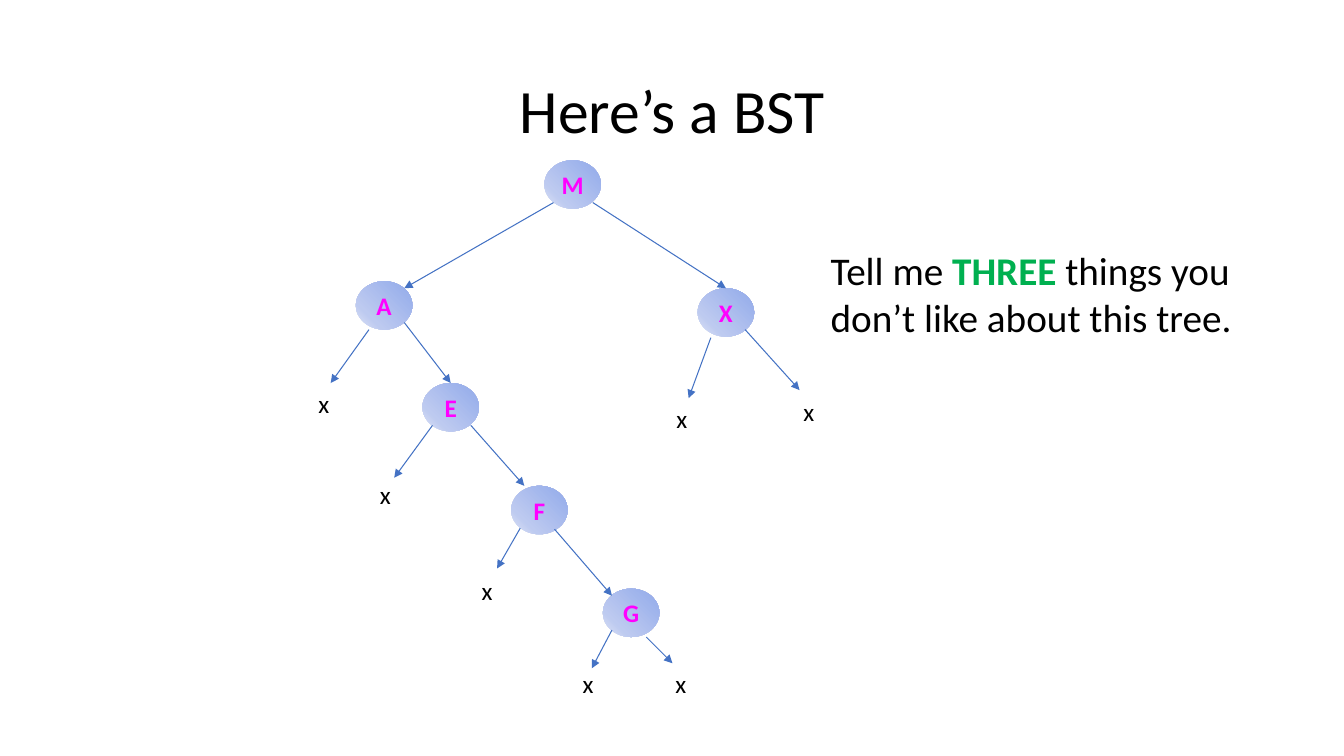
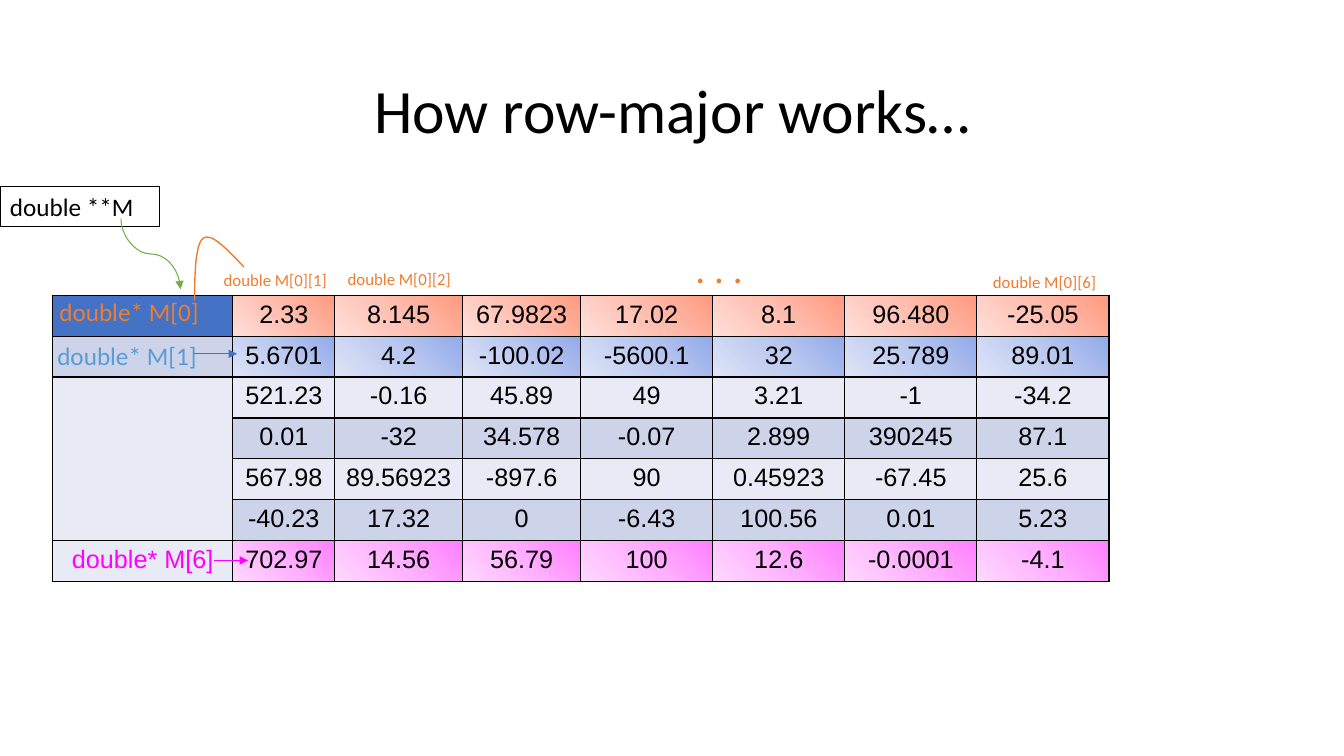
import itertools
from dataclasses import dataclass

import lxml.etree
import pptx
import pptx.dml.color
import pptx.enum.shapes
import pptx.enum.text
import pptx.oxml.ns
import pptx.util
from pptx.util import Inches

COLORS = {
    "black": "000000",
    "blue": "4472C4",
    "light_blue": "5B9BD5",
    "green": "70AD47",
    "bright_green": "00B050",
    "orange": "ED7D31",
    "magenta": "FF00FF",
    "band_dark": "CDD4EA",
    "band_light": "E8EBF5",
}
BLUE_TINTS = ("92AAEA", "BDCAF0", "DEE4F7")
RED_TINTS = ("FF997E", "FFBFB1", "FFDFD9")
MAGENTA_TINTS = ("FF7EFF", "FFB1FF", "FFD9FF")
CENTER = pptx.enum.text.PP_ALIGN.CENTER
MIDDLE = pptx.enum.text.MSO_ANCHOR.MIDDLE
qn = pptx.oxml.ns.qn


@dataclass(frozen=True)
class Span:
    text: str
    color: str = "black"
    bold: bool = False
    size: int = 18
    font: str = "Calibri"


@dataclass(frozen=True)
class Node:
    label: str
    left: float
    top: float


@dataclass(frozen=True)
class Arrow:
    x1: float
    y1: float
    x2: float
    y2: float
    color: str = "blue"


@dataclass(frozen=True)
class Gradient:
    tints: tuple[str, ...]
    middle: int = 50
    circular: bool = False


@dataclass(frozen=True)
class Label:
    span: Span
    left: float
    top: float
    width: float
    height: float


NODE_FILL = Gradient(BLUE_TINTS, 74, True)
NODES = [
    Node("M", 5.4, 1.59), Node("A", 3.53, 2.79), Node("X", 6.92, 2.86),
    Node("E", 4.19, 3.8), Node("F", 5.07, 4.82), Node("G", 5.98, 5.84),
]
BRANCHES = [
    Arrow(5.49, 2.01, 4.01, 2.86), Arrow(5.88, 2.01, 7.2, 2.86),
    Arrow(7.05, 3.35, 6.83, 3.95), Arrow(7.39, 3.27, 7.93, 3.87),
    Arrow(3.66, 3.27, 3.28, 3.8), Arrow(4.01, 3.2, 4.47, 3.8),
    Arrow(4.29, 4.22, 3.91, 4.74), Arrow(4.67, 4.22, 5.2, 4.82),
    Arrow(5.16, 5.24, 4.93, 5.64), Arrow(5.5, 5.25, 6.07, 5.91),
    Arrow(6.07, 6.25, 5.87, 6.63), Arrow(6.41, 6.32, 6.67, 6.58),
]
EMPTY_CHILDREN = [
    (6.61, 3.95), (7.87, 3.88), (3.06, 3.8), (3.67, 4.71),
    (4.68, 5.66), (5.68, 6.58), (6.6, 6.58),
]

COLUMN_WIDTHS = [1.79, 1.01, 1.27, 1.17] + [1.31] * 4
MATRIX = [
    ["2.33", "8.145", "67.9823", "17.02", "8.1", "96.480", "-25.05"],
    ["5.6701", "4.2", "-100.02", "-5600.1", "32", "25.789", "89.01"],
    ["521.23", "-0.16", "45.89", "49", "3.21", "-1", "-34.2"],
    ["0.01", "-32", "34.578", "-0.07", "2.899", "390245", "87.1"],
    ["567.98", "89.56923", "-897.6", "90", "0.45923", "-67.45", "25.6"],
    ["-40.23", "17.32", "0", "-6.43", "100.56", "0.01", "5.23"],
    ["702.97", "14.56", "56.79", "100", "12.6", "-0.0001", "-4.1"],
]
ROW_GRADIENTS = {
    0: Gradient(RED_TINTS, circular=True),
    1: Gradient(BLUE_TINTS),
    6: Gradient(MAGENTA_TINTS),
}
POINTER_FILLS = {0: "blue", 1: "band_dark"}
MATRIX_LABELS = [
    Label(Span("double* M[0]", "orange"), 0.49, 2.89, 1.74, 0.4),
    Label(Span("double* M[1]", "light_blue"), 0.47, 3.33, 1.74, 0.4),
    Label(Span("double M[0][1]", "orange", size=12), 2.12, 2.63, 1.24, 0.3),
    Label(Span("double M[0][2]", "orange", size=12), 3.35, 2.62, 1.24, 0.3),
    Label(Span("double M[0][6]", "orange", size=12), 9.75, 2.65, 1.24, 0.3),
    Label(Span(". . .", "orange", size=28), 6.8, 2.37, 0.73, 0.57),
]
ROW_POINTERS = [
    Arrow(1.92, 3.51, 2.35, 3.51), Arrow(2.12, 5.56, 2.46, 5.56, "magenta"),
]
LOOP_POINTS = [
    (1.93, 2.98), (1.93, 2.7), (1.94, 2.41), (2.02, 2.36),
    (2.1, 2.31), (2.26, 2.48), (2.42, 2.65),
]


def rgb(name: str) -> pptx.dml.color.RGBColor:
    return pptx.dml.color.RGBColor.from_string(COLORS[name])


def write(frame, spans: list[Span], **paragraph_format) -> None:
    """Put the spans in the first paragraph of a text frame."""
    para = frame.paragraphs[0]
    for name, value in paragraph_format.items():
        setattr(para, name, value)
    for span in spans:
        run = para.add_run()
        run.text = span.text
        font_format = {"name": span.font, "size": pptx.util.Pt(span.size), "bold": span.bold}
        for name, value in font_format.items():
            setattr(run.font, name, value)
        run.font.color.rgb = rgb(span.color)


def add_text(page, spans: list[Span], left: float, top: float, width: float,
             height: float, anchor=None, **paragraph_format) -> None:
    box = page.shapes.add_textbox(*map(Inches, (left, top, width, height)))
    box.text_frame.word_wrap = True
    box.text_frame.vertical_anchor = anchor
    write(box.text_frame, spans, **paragraph_format)


def add_title(page, text: str) -> None:
    add_text(page, [Span(text, size=44)], 0.92, 0.4, 11.5, 1.45, MIDDLE,
             alignment=CENTER, line_spacing=0.9)


def fill_gradient(fill, properties, gradient: Gradient) -> None:
    """Shade from the top right corner; properties is the XML parent of the fill."""
    fill.gradient()
    element = properties.find(qn("a:gradFill"))
    element.clear()
    element.set("rotWithShape", "1")
    stops = lxml.etree.SubElement(element, qn("a:gsLst"))
    for position, tint in zip((0, gradient.middle, 100), gradient.tints):
        stop = lxml.etree.SubElement(stops, qn("a:gs"), pos=str(position * 1000))
        lxml.etree.SubElement(stop, qn("a:srgbClr"), val=tint)
    if gradient.circular:
        circle = lxml.etree.SubElement(element, qn("a:path"), path="circle")
        lxml.etree.SubElement(circle, qn("a:fillToRect"), l="100000", b="100000")
    else:
        lxml.etree.SubElement(element, qn("a:lin"), ang="8100000", scaled="1")


def add_arrow(page, arrow: Arrow, kind=pptx.enum.shapes.MSO_CONNECTOR.STRAIGHT):
    connector = page.shapes.add_connector(
        kind, *map(Inches, (arrow.x1, arrow.y1, arrow.x2, arrow.y2)))
    connector.line.color.rgb = rgb(arrow.color)
    connector.line.width = pptx.util.Pt(0.75)
    properties = connector.element.spPr
    lxml.etree.SubElement(properties.find(qn("a:ln")), qn("a:tailEnd"), type="triangle")
    lxml.etree.SubElement(properties, qn("a:effectLst"))
    return connector


def add_node(page, node: Node) -> None:
    oval = page.shapes.add_shape(
        pptx.enum.shapes.MSO_SHAPE.OVAL, *map(Inches, (node.left, node.top, 0.56, 0.48)))
    oval.shadow.inherit = False
    oval.line.fill.background()
    fill_gradient(oval.fill, oval.element.spPr, NODE_FILL)
    frame_format = {"word_wrap": False, "vertical_anchor": MIDDLE}
    for name, value in frame_format.items():
        setattr(oval.text_frame, name, value)
    write(oval.text_frame, [Span(node.label, "magenta", True)], alignment=CENTER)


def add_vertical_curve(page, arrow: Arrow) -> None:
    """Draw a curved arrow that leaves and arrives vertically."""
    middle_x, middle_y = (arrow.x1 + arrow.x2) / 2, (arrow.y1 + arrow.y2) / 2
    half_width, half_height = (arrow.y2 - arrow.y1) / 2, (arrow.x2 - arrow.x1) / 2
    unrotated = Arrow(middle_x + half_width, middle_y - half_height,
                      middle_x - half_width, middle_y + half_height, arrow.color)
    curve = add_arrow(page, unrotated, pptx.enum.shapes.MSO_CONNECTOR.CURVE)
    curve.element.spPr.find(qn("a:xfrm")).set("rot", str(270 * 60000))


def add_loop(page) -> None:
    """Draw the open curve, each three points after the first as one Bezier."""
    points = [(Inches(x), Inches(y)) for x, y in LOOP_POINTS]
    builder = page.shapes.build_freeform(*points[0])
    builder.add_line_segments(points[1:], close=False)
    loop = builder.convert_to_shape()
    loop.shadow.inherit = False
    loop.fill.background()
    loop.line.color.rgb = rgb("orange")
    loop.line.width = pptx.util.Pt(1)
    segments = list(loop.element.iter(qn("a:lnTo")))
    outline = segments[0].getparent()
    for start in range(0, len(segments), 3):
        bezier = lxml.etree.SubElement(outline, qn("a:cubicBezTo"))
        for segment in segments[start:start + 3]:
            bezier.append(segment[0])
            outline.remove(segment)


def add_borders(cell) -> None:
    properties = cell._tc.get_or_add_tcPr()
    for side in ("lnL", "lnR", "lnT", "lnB"):
        border = lxml.etree.SubElement(properties, qn(f"a:{side}"), w="12700")
        solid = lxml.etree.SubElement(border, qn("a:solidFill"))
        lxml.etree.SubElement(solid, qn("a:srgbClr"), val=COLORS["black"])


def add_matrix(page) -> None:
    table = page.shapes.add_table(
        len(MATRIX), len(COLUMN_WIDTHS), *map(Inches, (0.52, 2.93, 10.47, 2.84))).table
    table.first_row = table.horz_banding = False
    for column, width in zip(table.columns, COLUMN_WIDTHS):
        column.width = Inches(width)
    for row, column in itertools.product(range(len(MATRIX)), range(len(COLUMN_WIDTHS))):
        cell = table.cell(row, column)
        add_borders(cell)
        if column and row in ROW_GRADIENTS:
            fill_gradient(cell.fill, cell._tc.tcPr, ROW_GRADIENTS[row])
        else:
            band = "band_dark" if row % 2 else "band_light"
            cell.fill.solid()
            cell.fill.fore_color.rgb = rgb(
                band if column else POINTER_FILLS.get(row, "band_light"))
        if column:
            write(cell.text_frame, [Span(MATRIX[row][column - 1], font="Arial")],
                  alignment=CENTER)
    write(table.cell(6, 0).text_frame, [Span("double* M[6]", "magenta", font="Arial")],
          alignment=CENTER)
    table.cell(2, 0).merge(table.cell(5, 0))


def add_pointer_box(page) -> None:
    box = page.shapes.add_shape(
        pptx.enum.shapes.MSO_SHAPE.RECTANGLE, *map(Inches, (0, 1.85, 1.58, 0.4)))
    box.shadow.inherit = False
    box.fill.background()
    box.line.color.rgb = rgb("black")
    box.line.width = pptx.util.Pt(0.75)
    write(box.text_frame, [Span("double **M")], alignment=pptx.enum.text.PP_ALIGN.LEFT)


def draw_tree(page) -> None:
    add_title(page, "Here’s a BST")
    for node in NODES:
        add_node(page, node)
    for branch in BRANCHES:
        add_arrow(page, branch)
    for left, top in EMPTY_CHILDREN:
        add_text(page, [Span("x")], left, top, 0.43, 0.4)
    question = [Span("Tell me ", size=28), Span("THREE", "bright_green", True, 28),
                Span(" things you don’t like about this tree.", size=28)]
    add_text(page, question, 8.14, 2.39, 4.81, 1.04)


def draw_row_major(page) -> None:
    add_title(page, "How row-major works…")
    add_matrix(page)
    add_pointer_box(page)
    add_vertical_curve(page, Arrow(1.2, 2.17, 1.79, 2.87, "green"))
    add_loop(page)
    for label in MATRIX_LABELS:
        add_text(page, [label.span], label.left, label.top, label.width, label.height)
    for pointer in ROW_POINTERS:
        add_arrow(page, pointer)


def main() -> None:
    deck = pptx.Presentation()
    deck.slide_width, deck.slide_height = Inches(13.33), Inches(7.5)
    for draw in (draw_tree, draw_row_major):
        draw(deck.slides.add_slide(deck.slide_layouts[6]))
    deck.save("out.pptx")


if __name__ == "__main__":
    main()
